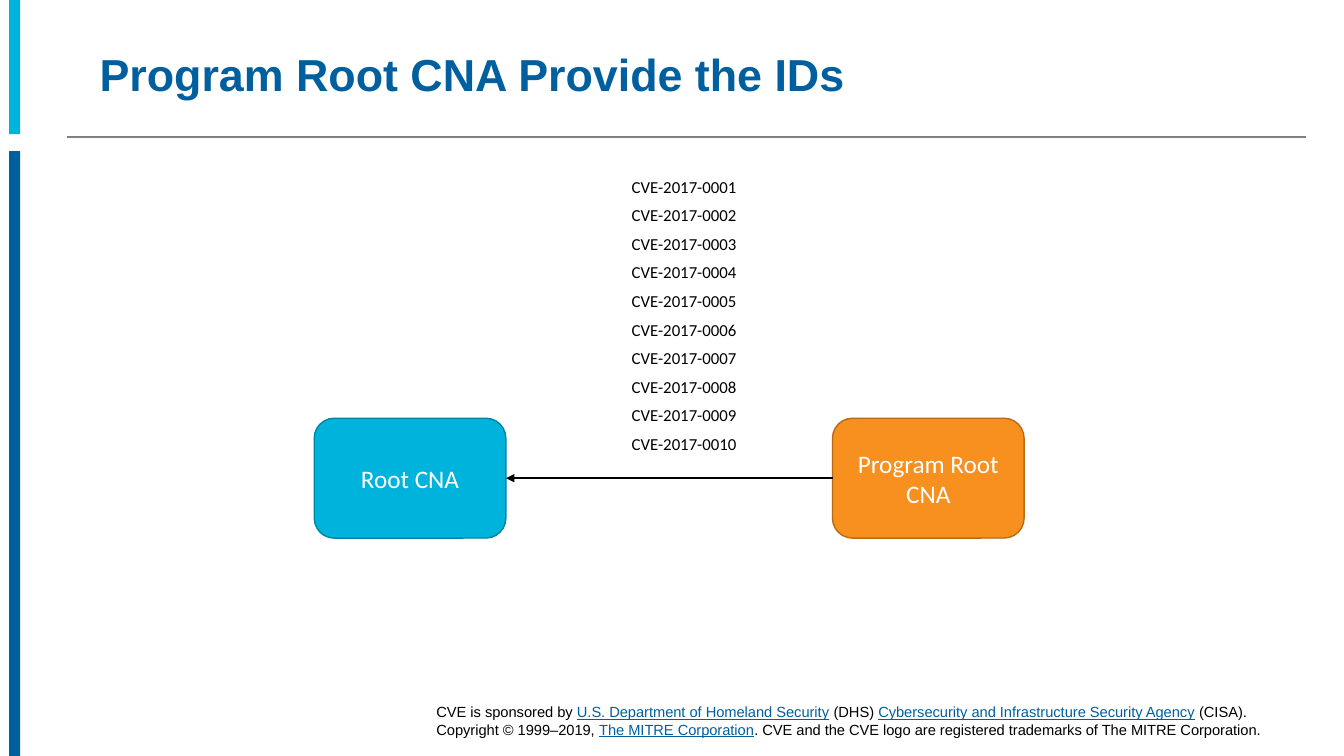
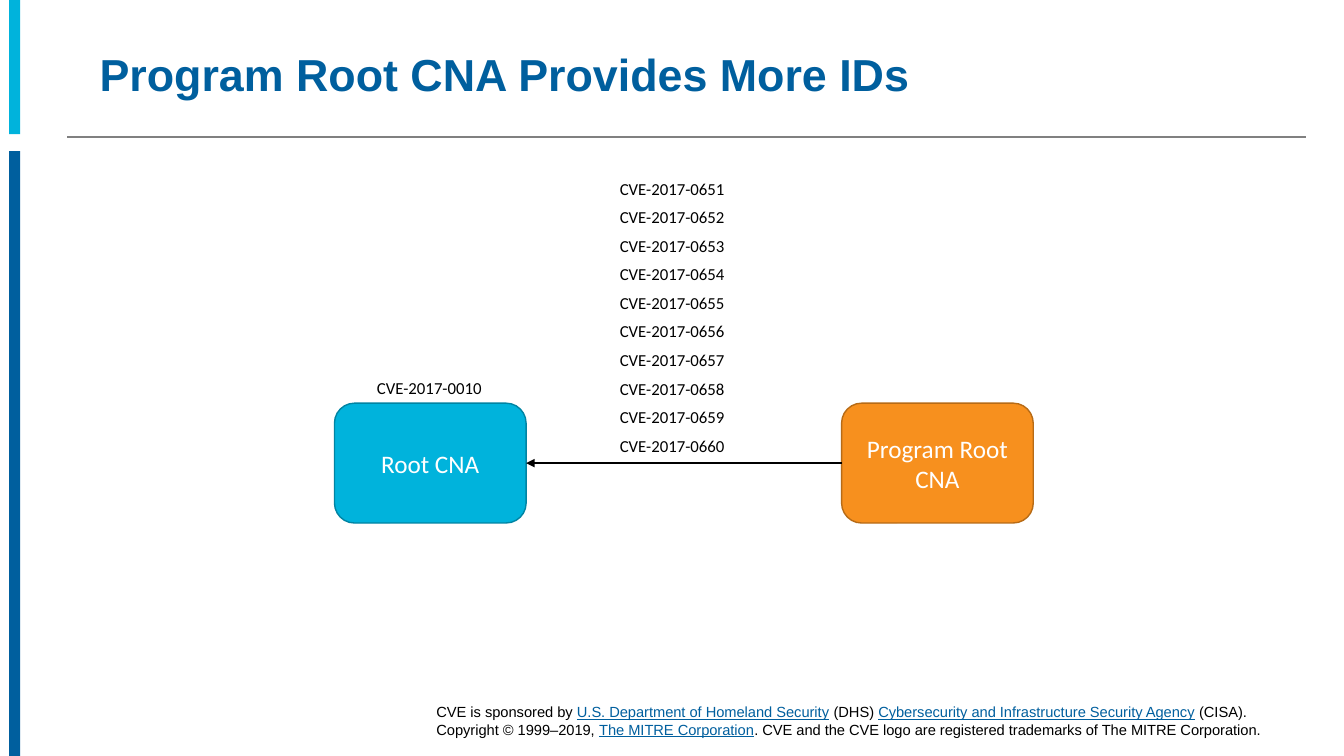
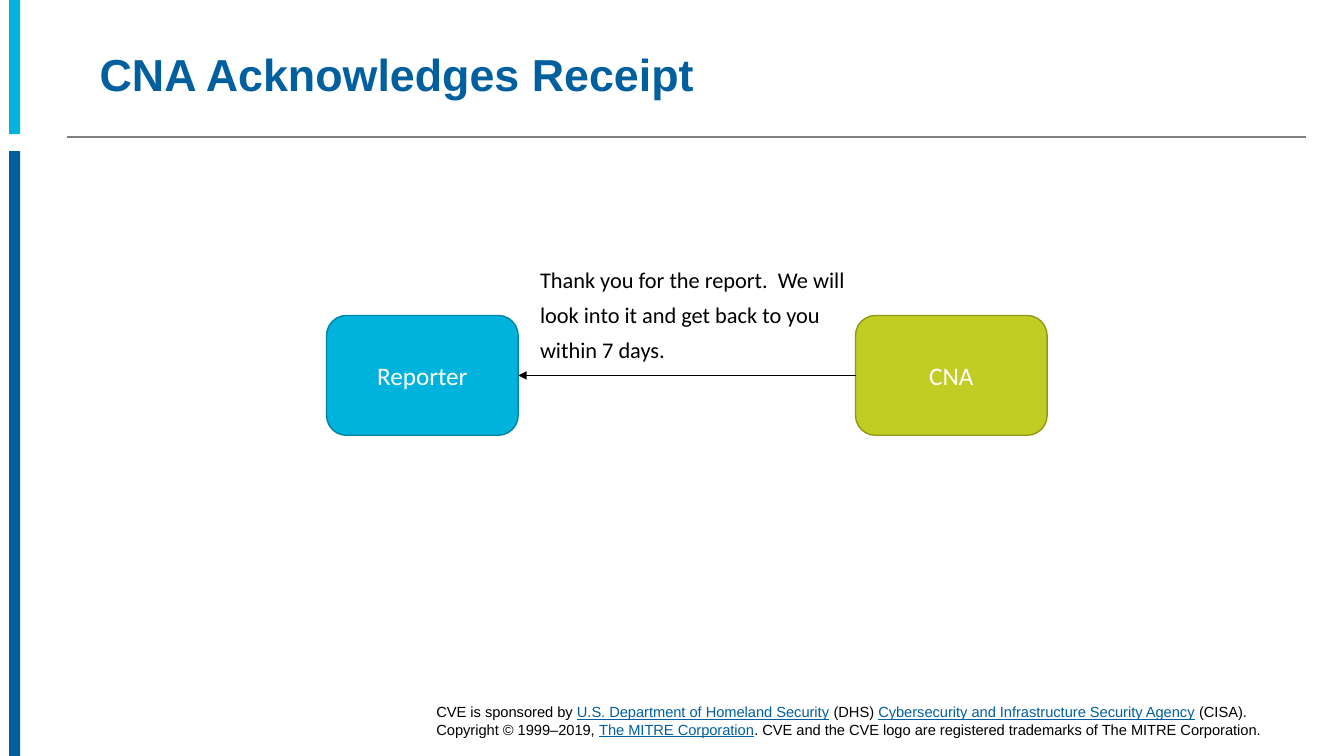
from lxml import etree
from pptx import Presentation
from pptx import util as u
from pptx.dml.color import RGBColor
from pptx.enum import shapes, text
from pptx.oxml import ns

# Shared look
CYAN, BLUE, ORANGE, GREEN = "00B3DC", "005F9E", "F7901E", "C1CD23"
BLACK, WHITE, GREY = "000000", "FFFFFF", "808080"
EDGES = {CYAN: "0084A3", ORANGE: "B76B16", GREEN: "8F981A"}
NODE_WIDTH, NODE_HEIGHT = 4.83, 3.02
LINK = {"color": BLUE, "underline": True}
FOOTER = [
    ("CVE is sponsored by ", {}),
    ("U.S. Department of Homeland Security", LINK),
    (" (DHS) ", {}),
    ("Cybersecurity and Infrastructure Security Agency", LINK),
    (" (CISA). Copyright © 1999–2019, ", {}),
    ("The MITRE Corporation", LINK),
    (". CVE and the CVE logo are registered trademarks of The MITRE Corporation.", {}),
]


def paint(target, color):
    """Apply a hex colour to a fill, or to a font or line colour."""
    if hasattr(target, "solid"):
        target.solid()
        target = target.fore_color
    target.rgb = RGBColor.from_string(color)


def write(box, paragraphs, *, font="Calibri", size=18, color=BLACK, bold=False,
          align=text.PP_ALIGN.LEFT, anchor=text.MSO_ANCHOR.TOP, after=0,
          spacing=None, wrap=True, inset=None):
    """Fill a box; a paragraph is a string or a list of (text, overrides)."""
    frame = box.text_frame
    frame.word_wrap = wrap
    frame.vertical_anchor = anchor
    if inset is not None:
        frame.margin_left = frame.margin_right = u.Cm(inset)
        frame.margin_top = frame.margin_bottom = u.Cm(inset)
    for index, content in enumerate(paragraphs):
        para = frame.paragraphs[0] if index == 0 else frame.add_paragraph()
        para.alignment = align
        para.space_after = u.Pt(after)
        if spacing:
            para.line_spacing = u.Pt(spacing)
        spans = [(content, {})] if isinstance(content, str) else content
        for words, overrides in spans:
            span = para.add_run()
            span.text = words
            span.font.name, span.font.size = font, u.Pt(size)
            span.font.bold = bold
            span.font.underline = overrides.get("underline", False)
            paint(span.font.color, overrides.get("color", color))


def add_text(page, left, top, width, height, paragraphs, **style):
    box = page.shapes.add_textbox(u.Cm(left), u.Cm(top), u.Cm(width), u.Cm(height))
    write(box, paragraphs, **style)


def add_block(page, kind, left, top, width, height, fill, edge=None):
    block = page.shapes.add_shape(kind, u.Cm(left), u.Cm(top), u.Cm(width), u.Cm(height))
    block.shadow.inherit = False
    paint(block.fill, fill)
    if edge:
        paint(block.line.color, edge)
        block.line.width = u.Pt(1)
    else:
        block.line.fill.background()
    return block


def add_line(page, start, end, color):
    line = page.shapes.add_connector(
        shapes.MSO_CONNECTOR.STRAIGHT, *(u.Cm(value) for value in start + end))
    paint(line.line.color, color)
    line.line.width = u.Pt(1)
    etree.SubElement(line._element.spPr, ns.qn("a:effectLst"))
    return line


def add_page(deck, title):
    """Add a page with side bands, title, rule and footer."""
    page = deck.slides.add_slide(deck.slide_layouts[6])
    for top, height, color in ((0, 3.38, CYAN), (3.81, 15.24, BLUE)):
        add_block(page, shapes.MSO_SHAPE.RECTANGLE, 0.23, top, 0.28, height, color)
    add_line(page, (1.7, 3.45), (32.92, 3.45), GREY)
    add_text(page, 10.87, 17.58, 21.36, 1.14, [FOOTER],
             font="Arial", size=10.5, inset=0.13)
    add_text(page, 2.26, 0.76, 25.91, 2.41, [title], font="Arial", size=32,
             color=BLUE, bold=True, spacing=32, anchor=text.MSO_ANCHOR.MIDDLE)
    return page


def add_node(page, left, top, label, fill):
    node = add_block(page, shapes.MSO_SHAPE.ROUNDED_RECTANGLE, left, top,
                     NODE_WIDTH, NODE_HEIGHT, fill, EDGES[fill])
    write(node, [label], color=WHITE, align=text.PP_ALIGN.CENTER,
          anchor=text.MSO_ANCHOR.MIDDLE)
    return node


def add_exchange(page, left, top, distance, receiver, sender, sender_fill):
    """Two nodes, the second one a distance to the right, joined by an arrow."""
    target = add_node(page, left, top, receiver, CYAN)
    source = add_node(page, left + distance, top, sender, sender_fill)
    middle = top + NODE_HEIGHT / 2
    arrow = add_line(page, (left + distance, middle), (left + NODE_WIDTH, middle), BLACK)
    arrow.begin_connect(source, 1)
    arrow.end_connect(target, 3)
    etree.SubElement(arrow.line._get_or_add_ln(), ns.qn("a:tailEnd"), type="triangle")


def add_ids(page, left, top, first, last):
    """A column of consecutive CVE identifiers."""
    ids = [f"CVE-2017-{number:04d}" for number in range(first, last + 1)]
    add_text(page, left, top, 3.2, 0.73 * len(ids), ids, size=12, after=6, wrap=False)


def main():
    deck = Presentation()
    deck.slide_width, deck.slide_height = u.Cm(33.87), u.Cm(19.05)

    # First block of IDs
    page = add_page(deck, "Program Root CNA Provide the IDs")
    add_exchange(page, 7.92, 10.54, 13.06, "Root CNA", "Program Root CNA", ORANGE)
    add_ids(page, 15.67, 4.32, 1, 10)

    # Second block, with one ID left
    page = add_page(deck, "Program Root CNA Provides More IDs")
    add_exchange(page, 8.43, 10.16, 12.78, "Root CNA", "Program Root CNA", ORANGE)
    add_ids(page, 9.25, 9.4, 10, 10)
    add_ids(page, 15.37, 4.37, 651, 660)

    # Acknowledgement
    page = add_page(deck, "CNA Acknowledges Receipt")
    add_exchange(page, 8.23, 7.95, 13.33, "Reporter", "CNA", GREEN)
    add_text(page, 13.36, 6.58, 8.94, 2.74,
             ["Thank you for the report.  We will",
              "look into it and get back to you",
              "within 7 days."], size=16, after=6)

    deck.save("out.pptx")


if __name__ == "__main__":
    main()
